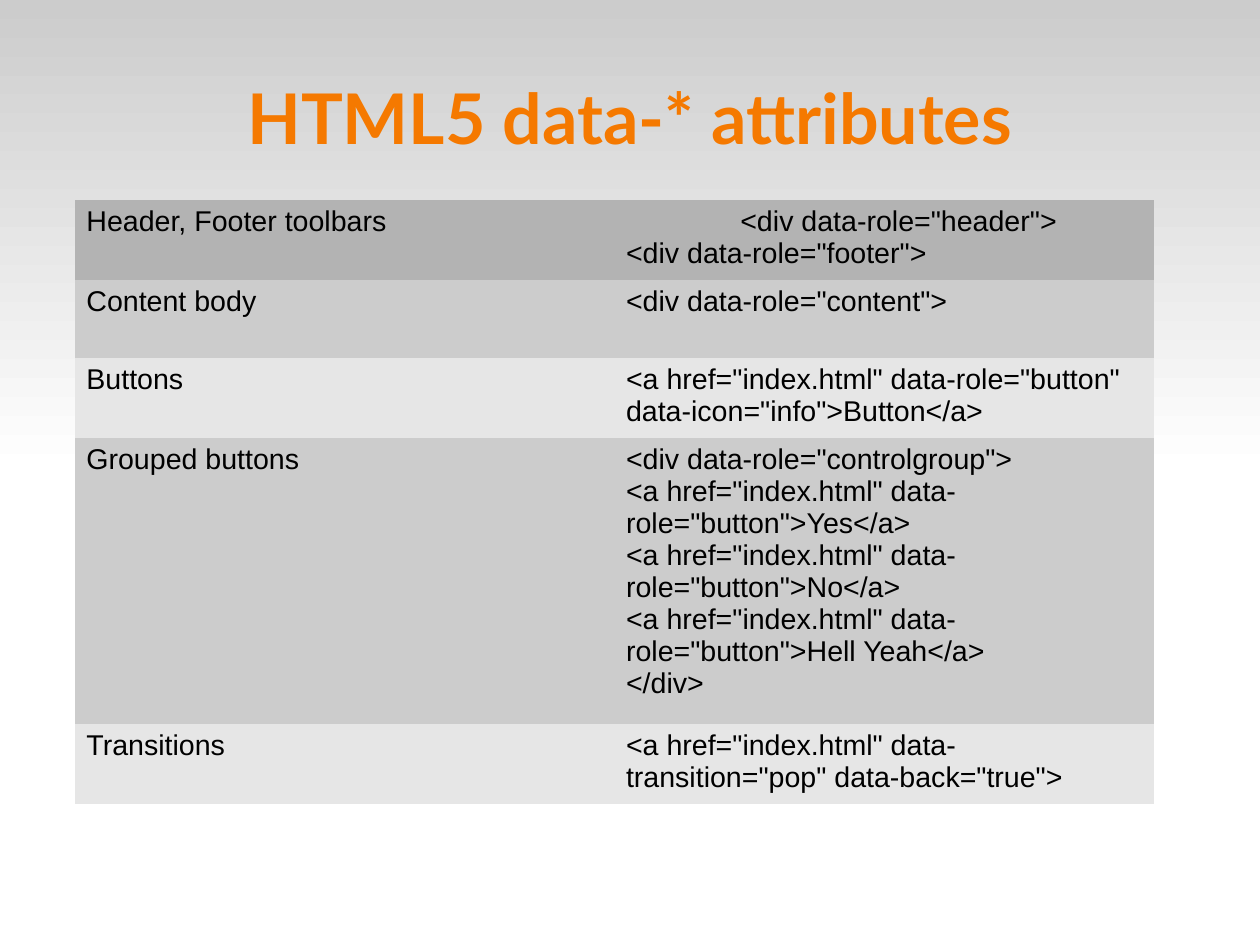
from dataclasses import dataclass

from lxml.etree import SubElement as Sub
from pptx import Presentation
from pptx.dml.color import RGBColor as Rgb
from pptx.enum.shapes import MSO_SHAPE as Form
from pptx.enum.text import MSO_ANCHOR as Anchor, MSO_AUTO_SIZE as Fit, PP_ALIGN as Align
from pptx.oxml.ns import qn
from pptx.slide import Slide
from pptx.table import _Cell as Cell
from pptx.text.text import _Paragraph as Para
from pptx.util import Cm, Emu, Inches, Pt

WIDE, HIGH = Cm(28), Cm(21)
PLAIN = "{2D5ABB26-0587-4C30-8999-92F81FD0307C}"
HUES = {
    "title": "F57900",
    "text": "000000",
    "top": "CCCCCC",
    "base": "FFFFFF",
    "head": "B3B3B3",
    "dark": "CCCCCC",
    "light": "E6E6E6",
}


@dataclass(frozen=True)
class Row:
    label: str
    code: tuple[str, ...]
    share: float


def link(word: str) -> str:
    return f'<a href="index.html" data-role="button">{word}</a>'


ROWS = (
    Row("Header, Footer toolbars",
        ('\t<div data-role="header">', '<div data-role="footer">'), 8.46),
    Row("Content body", ('<div data-role="content">',), 8.25),
    Row("Buttons",
        ('<a href="index.html" data-role="button"',
         'data-icon="info">Button</a>'), 8.46),
    Row("Grouped buttons",
        ('<div data-role="controlgroup">',
         *map(link, ("Yes", "No", "Hell Yeah")), "</div>"), 30.25),
    Row("Transitions",
        ('<a href="index.html" data-transition="pop" data-back="true">',), 8.46),
)


def hue(name: str) -> Rgb:
    return Rgb.from_string(HUES[name])


def across(share: float) -> Emu:
    return Emu(round(WIDE * share / 100))


def down(share: float) -> Emu:
    return Emu(round(HIGH * share / 100))


def write(para: Para, text: str, size: int, face: str, tone: str, bold: bool = False) -> None:
    run = para.add_run()
    run.text = text
    font = run.font
    font.size, font.name, font.bold = Pt(size), face, bold
    font.color.rgb = hue(tone)


def add_title(slide: Slide) -> None:
    title = slide.shapes.title
    title.left, title.top = across(5), down(4)
    title.width, title.height = across(90), down(16.7)
    frame = title.text_frame
    frame.margin_left = frame.margin_right = frame.margin_top = frame.margin_bottom = 0
    frame.vertical_anchor, frame.auto_size = Anchor.MIDDLE, Fit.NONE
    frame.word_wrap = True
    para = frame.paragraphs[0]
    para.alignment = Align.CENTER
    write(para, "HTML5 data-* attributes", 44, "Lato", "title", True)


def add_fade(slide: Slide) -> None:
    fade = slide.shapes.add_shape(Form.RECTANGLE, 0, 0, WIDE, down(50))
    fade.shadow.inherit = False
    fade.line.fill.background()
    fade.fill.gradient()
    fade.fill.gradient_angle = 270
    for stop, tone in zip(fade.fill.gradient_stops, ("top", "base")):
        stop.color.rgb = hue(tone)
    slide.shapes.title.element.addprevious(fade.element)


def set_tab(para: Para) -> None:
    stops = Sub(para._p.get_or_add_pPr(), qn("a:tabLst"))
    Sub(stops, qn("a:tab"), pos=str(Inches(1)), algn="l")


def fill_cell(cell: Cell, lines: tuple[str, ...], tone: str) -> None:
    cell.fill.solid()
    cell.fill.fore_color.rgb = hue(tone)
    frame = cell.text_frame
    for spot, line in enumerate(lines):
        para = frame.add_paragraph() if spot else frame.paragraphs[0]
        if "\t" in line:
            set_tab(para)
        write(para, line, 18, "Arial", "text")


def add_grid(slide: Slide) -> None:
    tall = sum(row.share for row in ROWS)
    frame = slide.shapes.add_table(
        len(ROWS), 2, across(5.95), down(21.16), across(85.66), down(tall))
    next(frame.element.iter("{*}tableStyleId")).text = PLAIN
    table = frame.table
    table.first_row = table.horz_banding = False
    for spot, row in enumerate(ROWS):
        table.rows[spot].height = down(row.share)
        tone = ("light", "dark")[spot % 2] if spot else "head"
        for col, lines in enumerate(((row.label,), row.code)):
            fill_cell(table.cell(spot, col), lines, tone)


def main() -> None:
    deck = Presentation()
    deck.slide_width, deck.slide_height = WIDE, HIGH
    slide = deck.slides.add_slide(deck.slide_layouts[5])
    slide.background.fill.solid()
    slide.background.fill.fore_color.rgb = hue("base")
    add_title(slide)
    add_fade(slide)
    add_grid(slide)
    deck.save("out.pptx")


if __name__ == "__main__":
    main()
